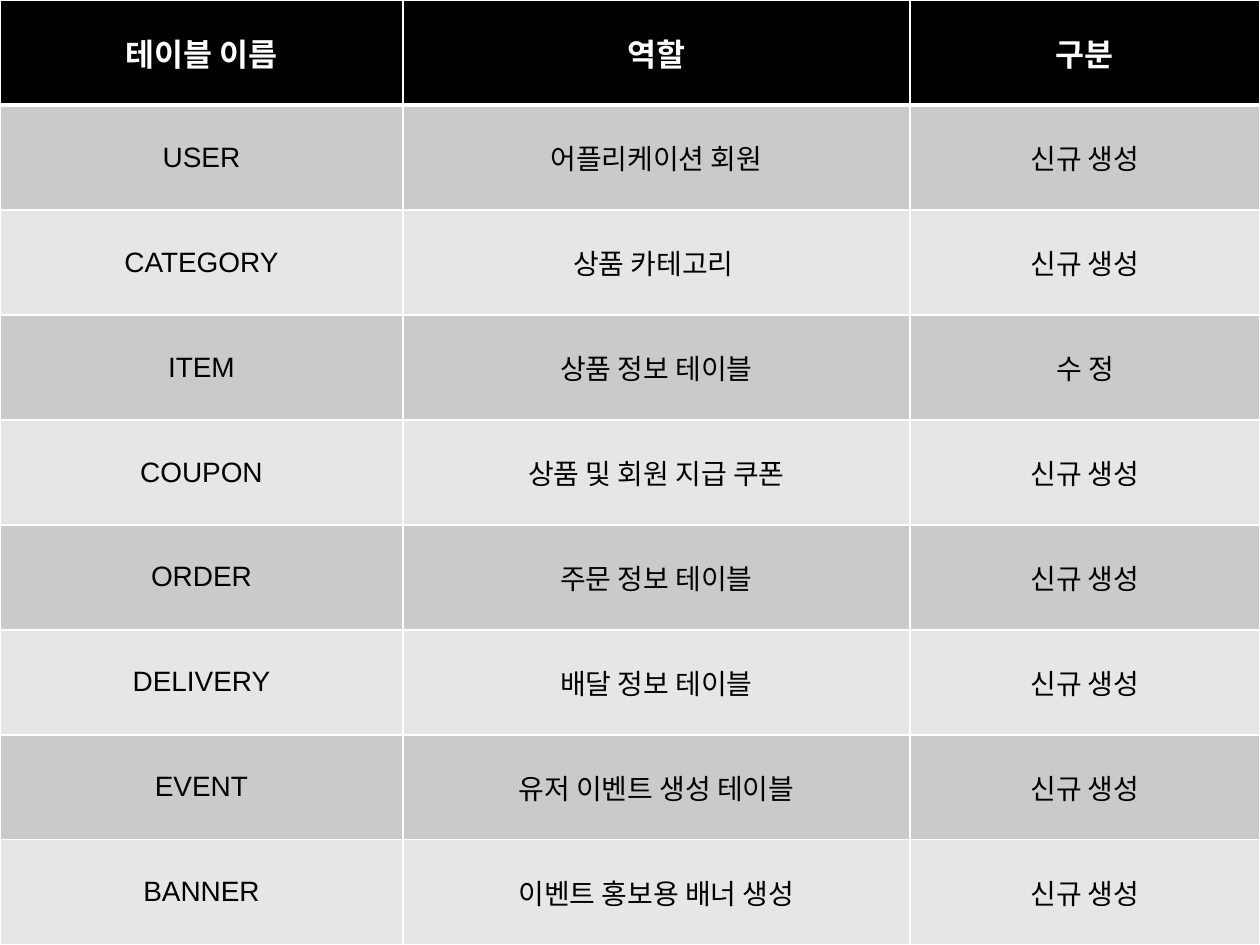
import dataclasses

import pptx
import pptx.dml.color
import pptx.enum.text
import pptx.oxml
import pptx.oxml.ns
import pptx.table
import pptx.util

PX_PER_INCH = 126
SLIDE_WIDTH, SLIDE_HEIGHT = 1260, 945
COLUMN_WIDTHS = (403, 507, 350)
HEADINGS = ("테이블 이름", "역할", "구분")
NEW, CHANGED = "신규 생성", "수 정"


@dataclasses.dataclass(frozen=True)
class Theme:
    font: str = "Arial"
    header_size: int = 18
    body_size: int = 16
    header_text: str = "FFFFFF"
    body_text: str = "000000"
    header_fill: str = "000000"
    band_fills: tuple[str, str] = ("CACACA", "E6E6E6")
    border: str = "FFFFFF"
    border_width: int = 1
    header_rule_width: int = 3


@dataclasses.dataclass(frozen=True)
class TableEntry:
    name: str
    role: str
    status: str = NEW


@dataclasses.dataclass(frozen=True)
class CellStyle:
    fill: str
    color: str
    size: int
    bold: bool
    top: int
    bottom: int


THEME = Theme()
ENTRIES = (
    TableEntry("USER", "어플리케이션 회원"),
    TableEntry("CATEGORY", "상품 카테고리 "),
    TableEntry("ITEM", "상품 정보 테이블", CHANGED),
    TableEntry("COUPON", "상품 및 회원 지급 쿠폰"),
    TableEntry("ORDER", "주문 정보 테이블"),
    TableEntry("DELIVERY", "배달 정보 테이블"),
    TableEntry("EVENT", "유저 이벤트 생성 테이블"),
    TableEntry("BANNER", "이벤트 홍보용 배너 생성"),
)


def px(length: int) -> pptx.util.Emu:
    return pptx.util.Emu(round(length * 914400 / PX_PER_INCH))


def rgb(value: str) -> pptx.dml.color.RGBColor:
    return pptx.dml.color.RGBColor.from_string(value)


def row_style(row: int) -> CellStyle:
    thin, thick = THEME.border_width, THEME.header_rule_width
    if row == 0:
        return CellStyle(THEME.header_fill, THEME.header_text, THEME.header_size, True, thin, thick)
    fill = THEME.band_fills[(row - 1) % 2]
    top = thick if row == 1 else thin
    return CellStyle(fill, THEME.body_text, THEME.body_size, False, top, thin)


def set_borders(cell: pptx.table._Cell, style: CellStyle) -> None:
    properties = cell._tc.get_or_add_tcPr()
    widths = {"L": THEME.border_width, "R": THEME.border_width, "T": style.top, "B": style.bottom}
    for side, width in widths.items():
        properties.append(pptx.oxml.parse_xml(
            f'<a:ln{side} {pptx.oxml.ns.nsdecls("a")} w="{pptx.util.Pt(width)}">'
            f'<a:solidFill><a:srgbClr val="{THEME.border}"/></a:solidFill></a:ln{side}>'
        ))


def fill_cell(cell: pptx.table._Cell, text: str, style: CellStyle) -> None:
    set_borders(cell, style)
    cell.fill.solid()
    cell.fill.fore_color.rgb = rgb(style.fill)
    cell.vertical_anchor = pptx.enum.text.MSO_ANCHOR.MIDDLE
    cell.text_frame.text = text
    para = cell.text_frame.paragraphs[0]
    para.alignment = pptx.enum.text.PP_ALIGN.CENTER
    for span in para.runs:
        span.font.name = THEME.font
        span.font.size = pptx.util.Pt(style.size)
        span.font.bold = style.bold
        span.font.color.rgb = rgb(style.color)


def main() -> None:
    deck = pptx.Presentation()
    deck.slide_width, deck.slide_height = px(SLIDE_WIDTH), px(SLIDE_HEIGHT)
    page = deck.slides.add_slide(deck.slide_layouts[6])

    rows = [HEADINGS, *map(dataclasses.astuple, ENTRIES)]
    table = page.shapes.add_table(
        len(rows), len(HEADINGS), 0, 0, px(SLIDE_WIDTH), px(SLIDE_HEIGHT)
    ).table
    for column, width in zip(table.columns, COLUMN_WIDTHS):
        column.width = px(width)
    for row, texts in enumerate(rows):
        table.rows[row].height = px(SLIDE_HEIGHT // len(rows))
        for column, text in enumerate(texts):
            fill_cell(table.cell(row, column), text, row_style(row))

    deck.save("out.pptx")


if __name__ == "__main__":
    main()
